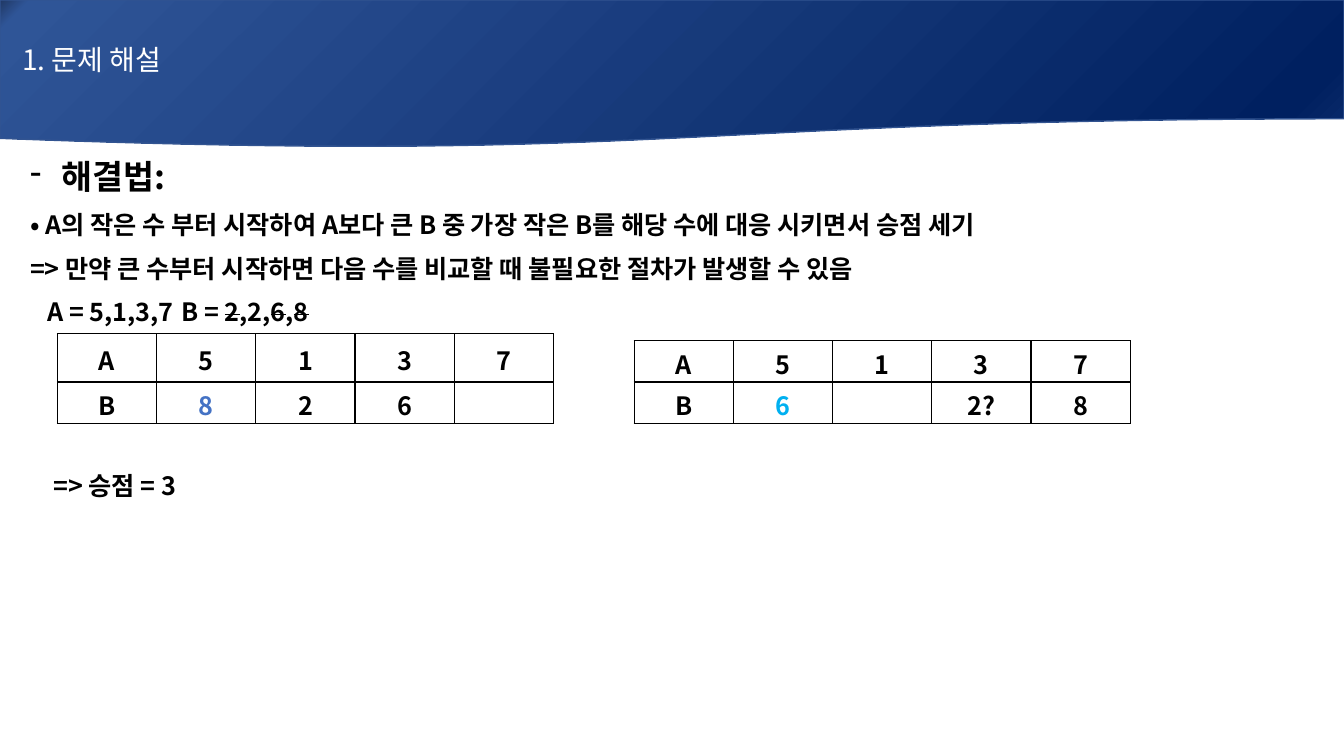
from lxml.etree import SubElement
from pptx import Presentation
from pptx.dml.color import RGBColor
from pptx.enum.shapes import MSO_SHAPE
from pptx.enum.text import MSO_ANCHOR, PP_ALIGN
from pptx.oxml.ns import qn
from pptx.util import Inches, Pt

FONT = "Noto Sans CJK KR"
BLACK = RGBColor(0x00, 0x00, 0x00)
WHITE = RGBColor(0xFF, 0xFF, 0xFF)
BLUE = RGBColor(0x44, 0x72, 0xC4)
SKY = RGBColor(0x00, 0xB0, 0xF0)
BANNER_EDGE = RGBColor(0x32, 0x54, 0x91)
BANNER_STOPS = [
    (0, RGBColor(0x20, 0x38, 0x64)),
    (2, RGBColor(0x2F, 0x55, 0x97)),
    (94, RGBColor(0x00, 0x20, 0x60)),
    (100, RGBColor(0x0D, 0x2E, 0x6F)),
]


def style(paragraph, size=18, color=BLACK, bold=True):
    font = paragraph.font
    font.size, font.bold, font.name = Pt(size), bold, FONT
    font.color.rgb = color
    defaults = paragraph._p.pPr.find(qn("a:defRPr"))
    SubElement(defaults, qn("a:ea"), typeface=FONT)


def add_banner(slide, title):
    banner = slide.shapes.add_shape(
        MSO_SHAPE.FLOWCHART_DOCUMENT, 0, 0, Inches(13.33), Inches(1.47))
    banner.shadow.inherit = False
    banner.line.color.rgb = BANNER_EDGE
    banner.line.width = Pt(1)
    banner.fill.gradient()
    banner.fill.gradient_angle = 315
    stops = banner._element.spPr.find(qn("a:gradFill")).find(qn("a:gsLst"))
    for stop in list(stops):
        stops.remove(stop)
    for percent, color in BANNER_STOPS:
        stop = SubElement(stops, qn("a:gs"), pos=str(percent * 1000))
        SubElement(stop, qn("a:srgbClr"), val=str(color))
    frame = banner.text_frame
    frame.margin_left = Inches(0.22)
    frame.vertical_anchor = MSO_ANCHOR.MIDDLE
    heading = frame.paragraphs[0]
    heading.text = title
    heading.alignment = PP_ALIGN.LEFT
    style(heading, 20, WHITE, False)


def add_line(paragraph, pieces, size=18, margin=0, indent=0, bullet=None, tab=None):
    paragraph.alignment = PP_ALIGN.JUSTIFY
    paragraph.line_spacing = 1.07
    paragraph.space_after = Pt(8)
    properties = paragraph._p.get_or_add_pPr()
    properties.set("marL", str(Inches(margin)))
    properties.set("indent", str(Inches(indent)))
    if bullet:
        SubElement(properties, qn("a:buChar"), char=bullet)
    if tab:
        tabs = SubElement(properties, qn("a:tabLst"))
        SubElement(tabs, qn("a:tab"), pos=str(Inches(tab)), algn="l")
    style(paragraph, size)
    for text, struck in pieces:
        run = paragraph.add_run()
        run.text = text
        if struck:
            run._r.get_or_add_rPr().set("strike", "sngStrike")


def add_solution(slide):
    box = slide.shapes.add_textbox(
        Inches(0.2), Inches(1.47), Inches(11.95), Inches(4))
    frame = box.text_frame
    frame.word_wrap = True
    add_line(frame.paragraphs[0], [("해결법:", False)], 24, 0.31, -0.31, "-")
    for sentence in (
        "• A의 작은 수 부터 시작하여 A보다 큰 B 중 가장 작은 B를 해당 수에 대응 시키면서 승점 세기",
        "=> 만약 큰 수부터 시작하면 다음 수를 비교할 때 불필요한 절차가 발생할 수 있음",
    ):
        add_line(frame.add_paragraph(), [(sentence, False)])
    numbers = [("A = 5,1,3,7\tB = ", False), ("2", True), (",2,", False),
               ("6", True), (",", False), ("8", True)]
    add_line(frame.add_paragraph(), numbers, indent=0.17, tab=1.71)
    score = frame.add_paragraph()
    add_line(score, [("=> 승점 = 3", False)], indent=0.23)
    score.space_before = Pt(93)


def add_borders(cell):
    properties = cell._tc.get_or_add_tcPr()
    for side in ("lnL", "lnR", "lnT", "lnB"):
        border = SubElement(properties, qn(f"a:{side}"), w=str(Pt(1)))
        fill = SubElement(border, qn("a:solidFill"))
        SubElement(fill, qn("a:srgbClr"), val=str(BLACK))


def add_matches(slide, left, top, heights, rows, accent):
    table = slide.shapes.add_table(
        len(rows), len(rows[0]), Inches(left), Inches(top),
        Inches(4.92), Inches(sum(heights))).table
    for row, height in zip(table.rows, heights):
        row.height = Inches(height)
    for r, values in enumerate(rows):
        for c, value in enumerate(values):
            cell = table.cell(r, c)
            add_borders(cell)
            cell.fill.solid()
            cell.fill.fore_color.rgb = WHITE
            cell.vertical_anchor = MSO_ANCHOR.MIDDLE
            cell.margin_top, cell.margin_bottom = Inches(0.04), 0
            entry = cell.text_frame.paragraphs[0]
            entry.text = value
            entry.alignment = PP_ALIGN.CENTER
            style(entry, color=accent if (r, c) == (1, 1) else BLACK)


def main():
    deck = Presentation()
    deck.slide_width, deck.slide_height = Inches(13.33), Inches(7.5)
    slide = deck.slides.add_slide(deck.slide_layouts[6])
    add_solution(slide)
    add_banner(slide, "1. 문제 해설")
    a_row = ["A", "5", "1", "3", "7"]
    add_matches(slide, 0.57, 3.31, (0.48, 0.41),
                [a_row, ["B", "8", "2", "6", ""]], BLUE)
    add_matches(slide, 6.29, 3.38, (0.41, 0.41),
                [a_row, ["B", "6", "", "2?", "8"]], SKY)
    deck.save("out.pptx")


if __name__ == "__main__":
    main()
